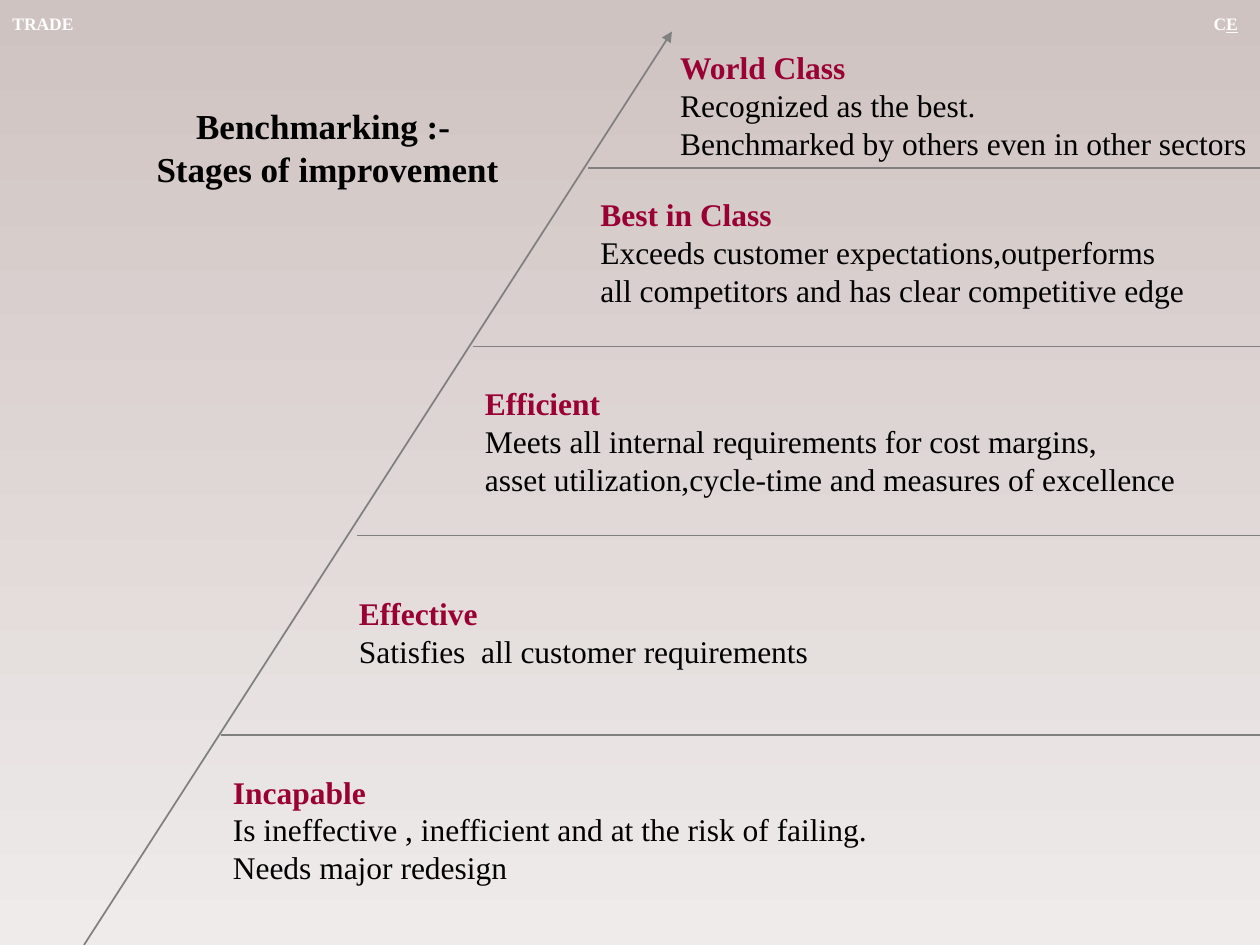
from dataclasses import dataclass

from lxml.etree import SubElement
from pptx import Presentation
from pptx.dml.color import RGBColor
from pptx.enum.shapes import MSO_CONNECTOR as Conn
from pptx.enum.text import MSO_ANCHOR as Anchor, MSO_AUTO_SIZE as AutoSize, PP_ALIGN as Align
from pptx.oxml.ns import qn
from pptx.util import Emu, Inches, Pt

COLS, ROWS = 120, 90  # grid laid over the whole slide
WIDTH, HEIGHT = Inches(10), Inches(7.5)


@dataclass(frozen=True)
class Theme:
    font: str = "Times New Roman"
    sky: str = "CFC3C1"
    ground: str = "EFEBEB"
    heading: str = "990033"
    text: str = "000000"
    header: str = "FFFFFF"
    line: str = "808080"
    title_size: int = 20
    stage_size: int = 18
    header_size: int = 10


@dataclass(frozen=True)
class Stage:
    name: str
    details: tuple[str, ...]
    col: float
    row: float
    cols: float
    wrap: bool = False


@dataclass(frozen=True)
class Divider:
    col: float
    row: float


THEME = Theme()
STAGES = (
    Stage("World Class", ("Recognized as the best.",
                          "Benchmarked by others even in other sectors"), 63.6, 4, 56.4),
    Stage("Best in Class", ("Exceeds customer expectations,outperforms",
                            "all competitors and has clear competitive edge"), 56, 18, 60, True),
    Stage("Efficient", ("Meets all internal requirements for cost margins,",
                        "asset utilization,cycle-time and measures of excellence"), 45, 36, 68.2),
    Stage("Effective", ("Satisfies  all customer requirements",), 33, 56, 45.2),
    Stage("Incapable", ("Is ineffective , inefficient and at the risk of failing.",
                        "Needs major redesign"), 21, 73, 62.9),
)
DIVIDERS = (Divider(56, 16), Divider(45, 33), Divider(34, 51), Divider(21, 70))


def x(col: float) -> Emu:
    return Emu(round(WIDTH * col / COLS))


def y(row: float) -> Emu:
    return Emu(round(HEIGHT * row / ROWS))


def add_text(p, text: str, *, size: int, color: str, bold=False, underline=None) -> None:
    r = p.add_run()
    r.text = text
    font = r.font
    font.name, font.size, font.bold, font.underline = THEME.font, Pt(size), bold, underline
    font.color.rgb = RGBColor.from_string(color)


def add_box(slide, col: float, row: float, cols: float, rows: float, wrap=False):
    tf = slide.shapes.add_textbox(x(col), y(row), x(cols), y(rows)).text_frame
    tf.word_wrap = wrap
    tf.auto_size = AutoSize.SHAPE_TO_FIT_TEXT
    return tf


def add_line(slide, start: tuple[float, float], end: tuple[float, float], arrow=False) -> None:
    sp = slide.shapes.add_connector(Conn.STRAIGHT, x(start[0]), y(start[1]), x(end[0]), y(end[1]))
    sp.line.color.rgb = RGBColor.from_string(THEME.line)
    sp.line.width = Pt(1)
    if arrow:
        SubElement(sp.line._get_or_add_ln(), qn("a:tailEnd"), type="triangle")
    SubElement(sp._element.spPr, qn("a:effectLst"))


def add_stage(slide, stage: Stage) -> None:
    tf = add_box(slide, stage.col, stage.row, stage.cols, 4 + 4 * len(stage.details), stage.wrap)
    add_text(tf.paragraphs[0], stage.name, size=THEME.stage_size, color=THEME.heading, bold=True)
    for detail in stage.details:
        add_text(tf.add_paragraph(), detail, size=THEME.stage_size, color=THEME.text)


def add_title(slide, lines: tuple[str, ...]) -> None:
    sp = slide.shapes.title
    sp.left, sp.top, sp.width, sp.height = x(7), y(6), x(48.4), y(16)
    tf = sp.text_frame
    tf.auto_size, tf.vertical_anchor, tf.word_wrap = AutoSize.NONE, Anchor.MIDDLE, True
    p = tf.paragraphs[0]
    p.alignment = Align.CENTER
    for i, line in enumerate(lines):
        if i:
            p.add_line_break()
        add_text(p, line, size=THEME.title_size, color=THEME.text, bold=True)


def add_header(slide) -> None:
    style = dict(size=THEME.header_size, color=THEME.header, bold=True)
    add_text(add_box(slide, 0, 0.6, 10, 3.2, wrap=True).paragraphs[0], "TRADE", **style)
    p = add_box(slide, 114.4, 0.6, 4.7, 3.2).paragraphs[0]
    add_text(p, "C", **style)
    add_text(p, "E", underline=True, **style)


def paint_background(slide) -> None:
    fill = slide.background.fill
    fill.gradient()
    fill.gradient_angle = 270
    for stop, color in zip(fill.gradient_stops, (THEME.sky, THEME.ground)):
        stop.color.rgb = RGBColor.from_string(color)


def main() -> None:
    prs = Presentation()
    prs.slide_width, prs.slide_height = WIDTH, HEIGHT
    slide = prs.slides.add_slide(prs.slide_layouts.get_by_name("Title Only"))
    paint_background(slide)
    add_header(slide)
    add_title(slide, ("Benchmarking :- ", "Stages of improvement"))
    add_line(slide, (8, ROWS), (64, 3), arrow=True)
    for divider in DIVIDERS:
        add_line(slide, (divider.col, divider.row), (COLS, divider.row))
    for stage in STAGES:
        add_stage(slide, stage)
    prs.save("out.pptx")


if __name__ == "__main__":
    main()
